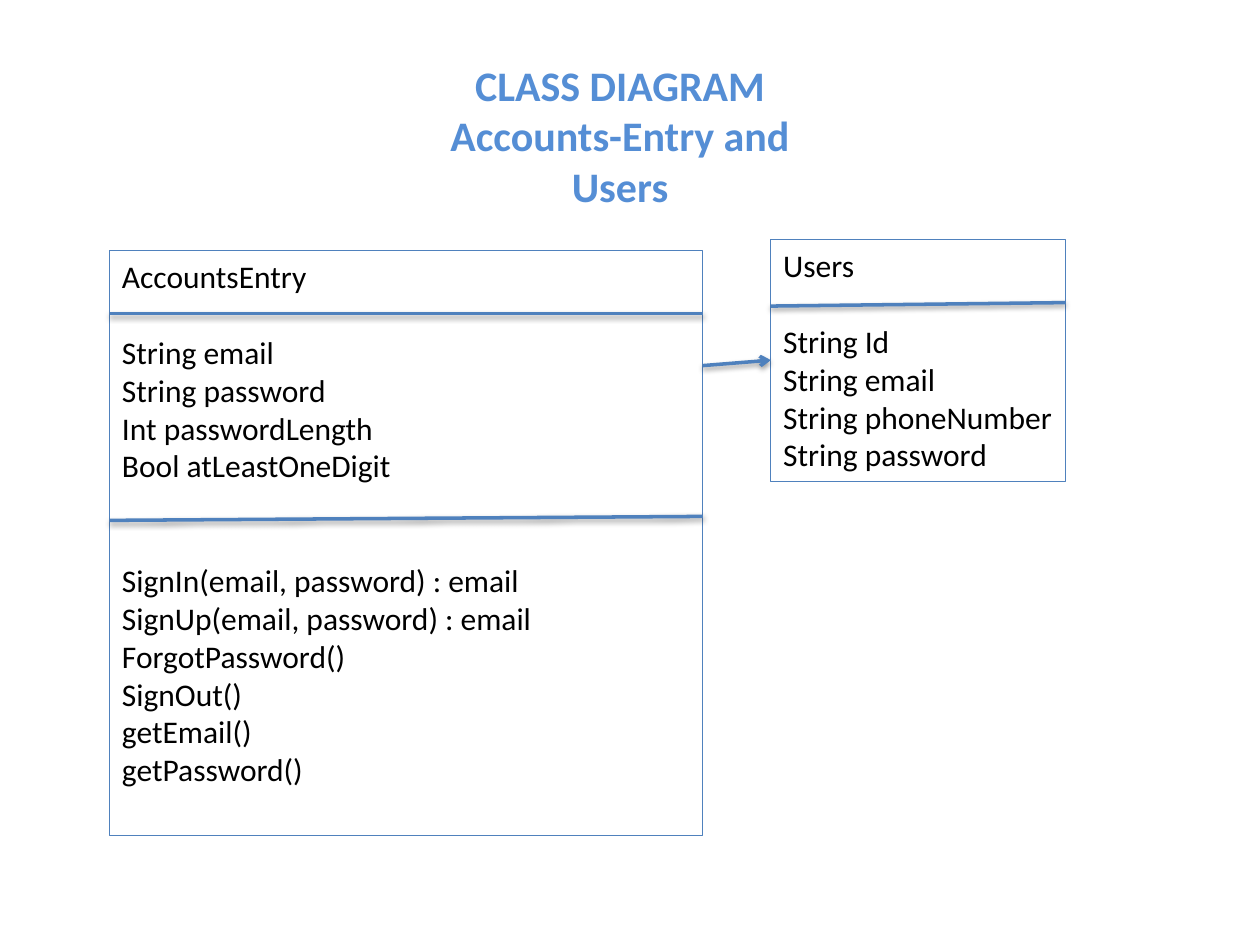
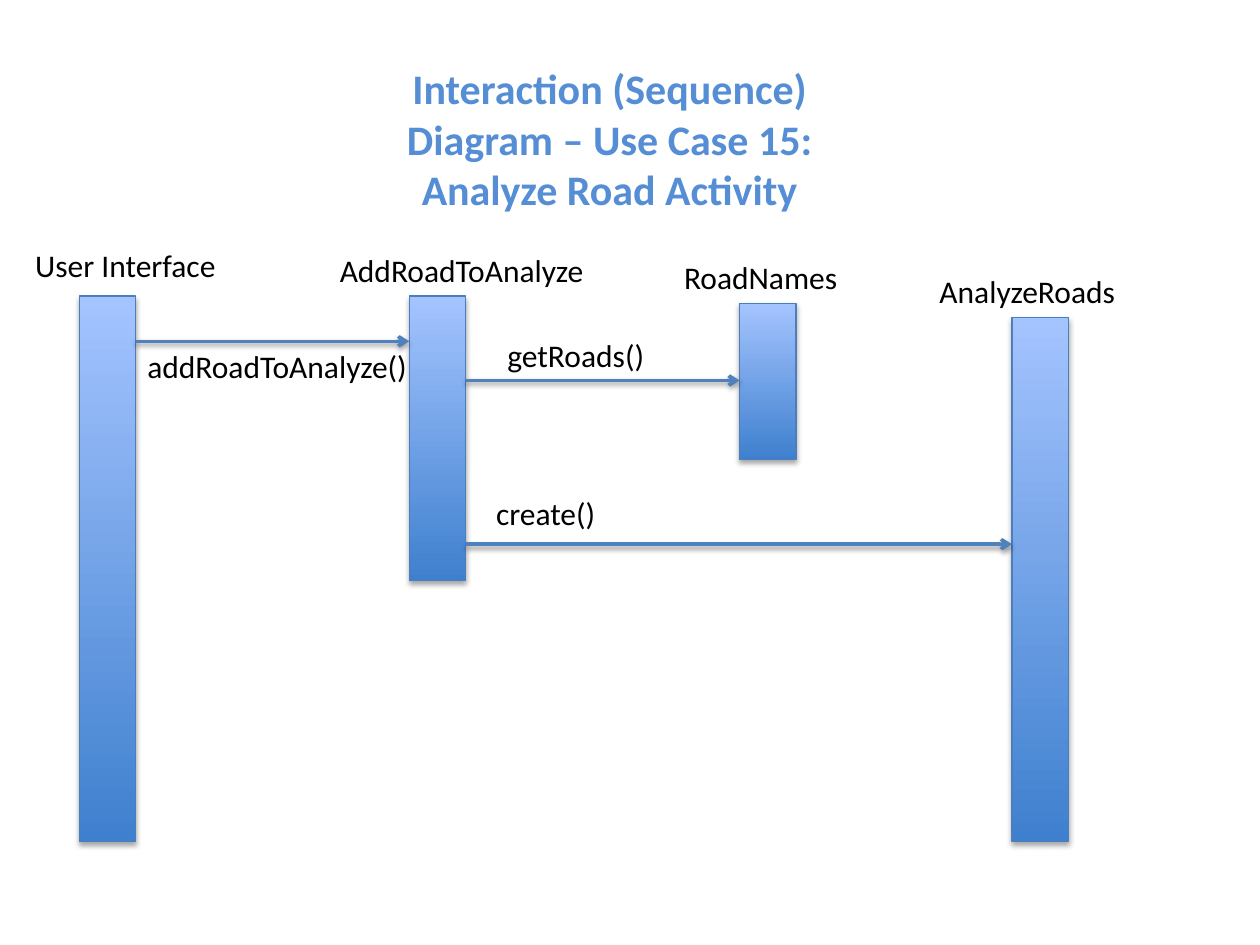
from dataclasses import dataclass

import lxml.etree
import pptx
import pptx.dml.color
import pptx.enum.shapes
import pptx.enum.text
import pptx.oxml.ns
import pptx.util

Cm = pptx.util.Cm
Pt = pptx.util.Pt
RGB = pptx.dml.color.RGBColor
qn = pptx.oxml.ns.qn
Align = pptx.enum.text.PP_ALIGN
Anchor = pptx.enum.text.MSO_ANCHOR
AutoSize = pptx.enum.text.MSO_AUTO_SIZE


@dataclass(frozen=True)
class Theme:
    font: str = "Calibri"
    title_color: RGB = RGB(0x55, 0x8E, 0xD5)
    text_color: RGB = RGB(0, 0, 0)
    line_color: RGB = RGB(0x4F, 0x81, 0xBD)
    bar_line: RGB = RGB(0x4B, 0x7E, 0xBC)
    bar_bottom: RGB = RGB(0x3F, 0x80, 0xCE)
    bar_top: RGB = RGB(0xA4, 0xC4, 0xFF)
    title_size: int = 24
    text_size: int = 18
    blank_line: int = 22
    thin: float = 0.75
    thick: float = 2


@dataclass(frozen=True)
class Area:
    left: float
    top: float
    width: float
    height: float

    @property
    def right(self) -> float:
        return self.left + self.width

    def lengths(self) -> tuple:
        return Cm(self.left), Cm(self.top), Cm(self.width), Cm(self.height)


@dataclass(frozen=True)
class ClassBox:
    area: Area
    sections: list[list[str]]
    gaps: list[int]
    dividers: list[tuple[float, float]]


@dataclass(frozen=True)
class Lifeline:
    name: str
    label: Area
    bar: Area


@dataclass(frozen=True)
class Message:
    name: str
    label: Area
    source: int
    target: int
    height: float


THEME = Theme()
BAR_WIDTH = 1.14
LABEL_HEIGHT = 1.02

CLASSES = [
    ClassBox(
        Area(2.21, 5.05, 11.96, 11.79),
        [
            ["AccountsEntry"],
            ["String email", "String password", "Int passwordLength", "Bool atLeastOneDigit"],
            ["SignIn(email, password) : email", "SignUp(email, password) : email",
             "ForgotPassword()", "SignOut()", "getEmail()", "getPassword()"],
        ],
        [0, 1, 2],
        [(6.32, 6.32), (10.49, 10.41)],
    ),
    ClassBox(
        Area(15.54, 4.83, 5.94, 4.88),
        [
            ["Users"],
            ["String Id", "String email", "String phoneNumber", "String password"],
        ],
        [0, 1],
        [(6.17, 6.1)],
    ),
]

LIFELINES = [
    Lifeline("User Interface", Area(0.46, 4.83, 4.22, LABEL_HEIGHT),
             Area(1.6, 5.97, BAR_WIDTH, 11)),
    Lifeline("AddRoadToAnalyze", Area(6.6, 4.93, 5.56, LABEL_HEIGHT),
             Area(8.25, 5.97, BAR_WIDTH, 5.74)),
    Lifeline("RoadNames", Area(13.54, 5.08, 3.66, LABEL_HEIGHT),
             Area(14.91, 6.12, BAR_WIDTH, 3.15)),
    Lifeline("AnalyzeRoads", Area(18.69, 5.36, 4.11, LABEL_HEIGHT),
             Area(20.4, 6.4, BAR_WIDTH, 10.57)),
]

MESSAGES = [
    Message("addRoadToAnalyze()", Area(2.72, 6.88, 5.89, LABEL_HEIGHT), 0, 1, 6.88),
    Message("getRoads()", Area(9.98, 6.65, 3.33, LABEL_HEIGHT), 1, 2, 7.67),
    Message("create()", Area(9.75, 9.83, 2.57, LABEL_HEIGHT), 1, 3, 10.97),
]


def write_line(para, text: str, *, size: float = THEME.text_size,
               color: RGB = THEME.text_color, bold: bool = False,
               align=Align.LEFT, before: float = 0) -> None:
    para.alignment = align
    para.space_before = Pt(before)
    span = para.add_run()
    span.text = text
    span.font.name = THEME.font
    span.font.size = Pt(size)
    span.font.bold = bold
    span.font.color.rgb = color


def next_para(frame, first: bool):
    return frame.paragraphs[0] if first else frame.add_paragraph()


def cast_shadow(item, distance: float, opacity: int) -> None:
    effects = lxml.etree.SubElement(item.element.spPr, qn("a:effectLst"))
    shadow = lxml.etree.SubElement(
        effects, qn("a:outerShdw"), blurRad=str(Pt(3.1)), dist=str(Pt(distance)),
        dir="5400000", rotWithShape="0")
    color = lxml.etree.SubElement(shadow, qn("a:srgbClr"), val="000000")
    lxml.etree.SubElement(color, qn("a:alpha"), val=str(opacity * 1000))


def draw_line(page, start: tuple[float, float], end: tuple[float, float],
              arrow: bool = False) -> None:
    line = page.shapes.add_connector(
        pptx.enum.shapes.MSO_CONNECTOR.STRAIGHT,
        Cm(start[0]), Cm(start[1]), Cm(end[0]), Cm(end[1]))
    line.line.color.rgb = THEME.line_color
    line.line.width = Pt(THEME.thick)
    if arrow:
        outline = line.element.spPr.find(qn("a:ln"))
        lxml.etree.SubElement(outline, qn("a:tailEnd"), type="arrow")
    cast_shadow(line, 1.6, 38)


def add_page(deck, title_lines: list[str], area: Area):
    page = deck.slides.add_slide(deck.slide_layouts.get_by_name("Title Only"))
    title = page.shapes.title
    title.left, title.top, title.width, title.height = area.lengths()
    frame = title.text_frame
    frame.auto_size = AutoSize.NONE
    frame.vertical_anchor = Anchor.TOP
    for index, text in enumerate(title_lines):
        write_line(next_para(frame, index == 0), text, size=THEME.title_size,
                   color=THEME.title_color, bold=True, align=Align.CENTER)
    return page


def add_rectangle(page, area: Area, line_color: RGB):
    box = page.shapes.add_shape(pptx.enum.shapes.MSO_SHAPE.RECTANGLE, *area.lengths())
    box.line.color.rgb = line_color
    box.line.width = Pt(THEME.thin)
    return box


def draw_class(page, item: ClassBox) -> None:
    box = add_rectangle(page, item.area, THEME.line_color)
    box.fill.background()
    box.shadow.inherit = False
    frame = box.text_frame
    frame.word_wrap = True
    frame.vertical_anchor = Anchor.TOP
    frame.margin_right = 0
    for section, (lines, gap) in enumerate(zip(item.sections, item.gaps)):
        for row, text in enumerate(lines):
            write_line(next_para(frame, section == row == 0), text,
                       before=gap * THEME.blank_line if row == 0 else 0)
    for left_end, right_end in item.dividers:
        draw_line(page, (item.area.left, left_end), (item.area.right, right_end))


def draw_label(page, text: str, area: Area) -> None:
    frame = page.shapes.add_textbox(*area.lengths()).text_frame
    frame.word_wrap = False
    frame.auto_size = AutoSize.SHAPE_TO_FIT_TEXT
    write_line(frame.paragraphs[0], text)


def draw_lifeline(page, item: Lifeline) -> None:
    bar = add_rectangle(page, item.bar, THEME.bar_line)
    bar.fill.gradient()
    bar.fill.gradient_angle = 90
    for stop, color in zip(bar.fill.gradient_stops, (THEME.bar_bottom, THEME.bar_top)):
        stop.color.rgb = color
    cast_shadow(bar, 1.8, 35)
    draw_label(page, item.name, item.label)


def draw_message(page, item: Message) -> None:
    start = LIFELINES[item.source].bar.right
    end = LIFELINES[item.target].bar.left
    draw_line(page, (start, item.height), (end, item.height), arrow=True)
    draw_label(page, item.name, item.label)


def build_class_page(deck) -> None:
    page = add_page(deck, ["CLASS DIAGRAM", "Accounts-Entry and Users"],
                    Area(7.98, 1.07, 9.04, 3.33))
    for item in CLASSES:
        draw_class(page, item)
    entry, users = CLASSES
    draw_line(page, (entry.area.right, 7.37), (users.area.left, 7.26), arrow=True)


def build_sequence_page(deck) -> None:
    page = add_page(
        deck, ["Interaction (Sequence) Diagram – Use Case 15: Analyze Road Activity"],
        Area(7.39, 1.14, 9.8, 3.33))
    for lifeline in LIFELINES:
        draw_lifeline(page, lifeline)
    for message in MESSAGES:
        draw_message(page, message)


def main() -> None:
    deck = pptx.Presentation()
    deck.slide_width = Cm(25.4)
    deck.slide_height = Cm(19.05)
    build_class_page(deck)
    build_sequence_page(deck)
    deck.save("out.pptx")


main()
